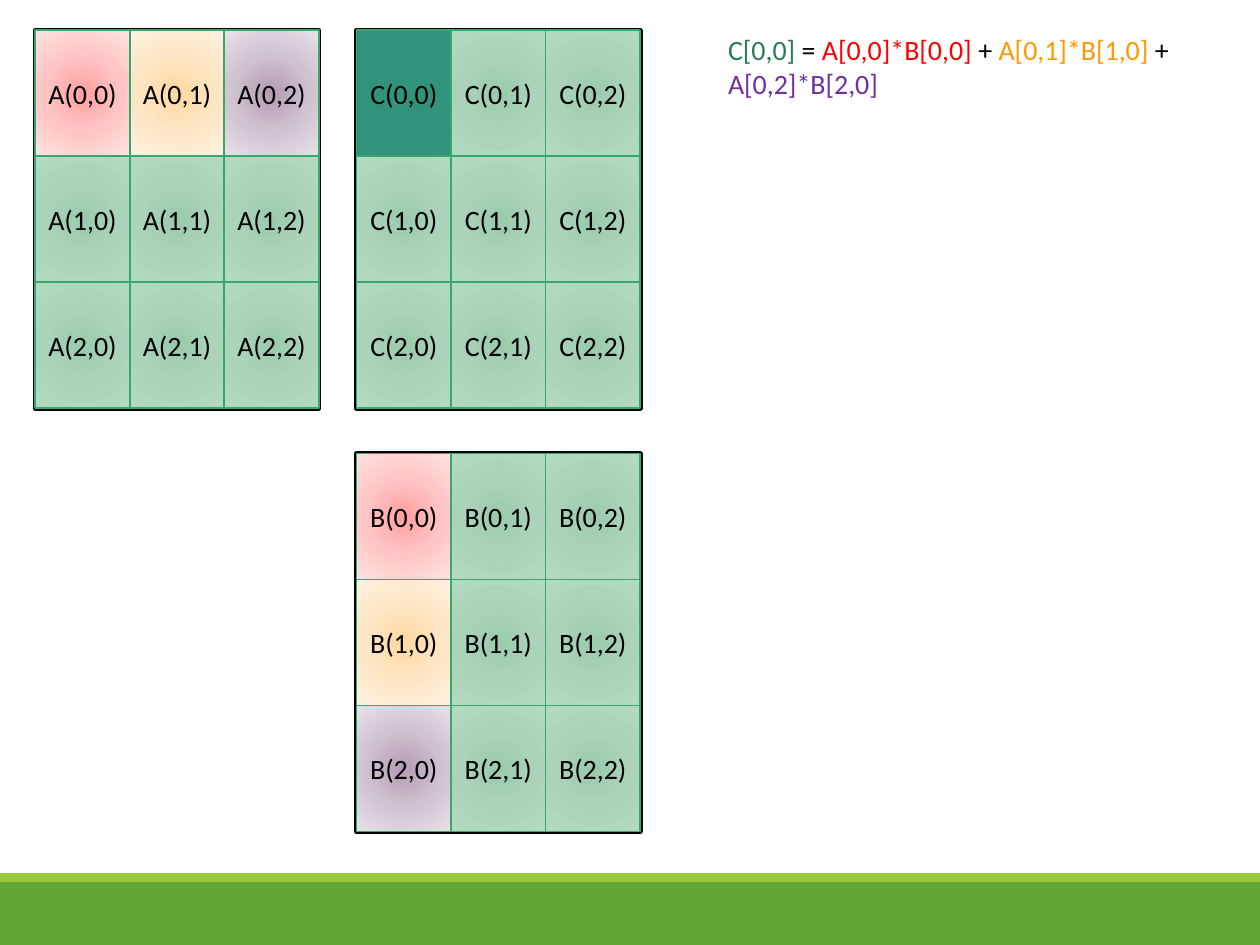
from dataclasses import dataclass, field

import pptx
import pptx.dml.color
import pptx.enum.shapes
import pptx.enum.text
import pptx.oxml
import pptx.oxml.ns
import pptx.shapes.autoshape
import pptx.util

Inches = pptx.util.Inches
Pt = pptx.util.Pt
RGBColor = pptx.dml.color.RGBColor

BLACK = RGBColor(0x00, 0x00, 0x00)
WHITE = RGBColor(0xFF, 0xFF, 0xFF)
GRID_GREEN = RGBColor(0x37, 0xA7, 0x6F)
RESULT_TEAL = RGBColor(0x31, 0x93, 0x7B)
BAND_GREEN = RGBColor(0x63, 0xA5, 0x37)
BAND_LIME = RGBColor(0x99, 0xCB, 0x38)
RESULT_GREEN = RGBColor(0x29, 0x7D, 0x53)
TERM_RED = RGBColor(0xFF, 0x00, 0x00)
TERM_ORANGE = RGBColor(0xFF, 0x99, 0x00)
TERM_PURPLE = RGBColor(0x70, 0x30, 0xA0)

FONT = "Calibri"
TEXT_SIZE = Pt(16)
ORDER = 3
CELL_WIDTH = 0.75
CELL_HEIGHT = 1


@dataclass(frozen=True)
class Glow:
    stops: tuple[tuple[int, RGBColor], ...]
    focus: int = 50


def term_glow(inner: str, middle: str, outer: str) -> Glow:
    return Glow(tuple(
        (position, RGBColor.from_string(shade))
        for position, shade in zip((0, 50, 100), (inner, middle, outer))
    ))


RED_GLOW = term_glow("FFA0A0", "FFC5C5", "FFE3E3")
ORANGE_GLOW = term_glow("FFD8A0", "FFE6C5", "FFF2E3")
PURPLE_GLOW = term_glow("B49BB4", "D0C3D0", "E8E2E8")
GREEN_GLOW = Glow(
    (
        (0, RGBColor(0x9A, 0xCA, 0xAC)),
        (45, RGBColor(0xAA, 0xD3, 0xB9)),
        (100, RGBColor(0xB1, 0xDA, 0xC0)),
    ),
    focus=100,
)
TERM_GLOWS = (RED_GLOW, ORANGE_GLOW, PURPLE_GLOW)


@dataclass(frozen=True)
class Matrix:
    name: str
    left: float
    top: float
    highlights: dict[tuple[int, int], Glow | RGBColor] = field(default_factory=dict)


@dataclass(frozen=True)
class Term:
    text: str
    color: RGBColor


MATRICES = (
    Matrix("A", 0.28, 0.24, {(0, i): glow for i, glow in enumerate(TERM_GLOWS)}),
    Matrix("B", 2.83, 3.6, {(i, 0): glow for i, glow in enumerate(TERM_GLOWS)}),
    Matrix("C", 2.83, 0.24, {(0, 0): RESULT_TEAL}),
)

PRODUCT = (
    Term("C[0,0] ", RESULT_GREEN),
    Term("= ", BLACK),
    Term("A[0,0]*B[0,0] ", TERM_RED),
    Term("+ ", BLACK),
    Term("A[0,1]*B[1,0] ", TERM_ORANGE),
    Term("+ ", BLACK),
    Term("A[0,2]*B[2,0]", TERM_PURPLE),
)


def apply_glow(cell: pptx.shapes.autoshape.Shape, glow: Glow) -> None:
    stops = "".join(
        f'<a:gs pos="{position * 1000}"><a:srgbClr val="{color}"/></a:gs>'
        for position, color in glow.stops
    )
    focus = " ".join(f'{side}="{glow.focus * 1000}"' for side in "ltrb")
    gradient = pptx.oxml.parse_xml(
        f'<a:gradFill {pptx.oxml.ns.nsdecls("a")} rotWithShape="1">'
        f'<a:gsLst>{stops}</a:gsLst>'
        f'<a:path path="circle"><a:fillToRect {focus}/></a:path></a:gradFill>'
    )
    cell.fill.gradient()
    properties = cell._element.spPr
    properties.replace(properties.find(pptx.oxml.ns.qn("a:gradFill")), gradient)


def add_rectangle(
    shapes,
    left: float,
    top: float,
    width: float,
    height: float,
    fill: Glow | RGBColor,
    line: RGBColor | None = None,
    weight: float = 1,
) -> pptx.shapes.autoshape.Shape:
    rectangle = shapes.add_shape(
        pptx.enum.shapes.MSO_SHAPE.RECTANGLE,
        Inches(left), Inches(top), Inches(width), Inches(height),
    )
    rectangle.shadow.inherit = False
    if isinstance(fill, Glow):
        apply_glow(rectangle, fill)
    else:
        rectangle.fill.solid()
        rectangle.fill.fore_color.rgb = fill
    if line is None:
        rectangle.line.fill.background()
    else:
        rectangle.line.color.rgb = line
        rectangle.line.width = Pt(weight)
    return rectangle


def add_run(paragraph, text: str, color: RGBColor) -> None:
    run = paragraph.add_run()
    run.text = text
    run.font.name = FONT
    run.font.size = TEXT_SIZE
    run.font.color.rgb = color


def add_matrix(slide, matrix: Matrix) -> None:
    members = slide.shapes.add_group_shape().shapes
    add_rectangle(
        members, matrix.left, matrix.top,
        ORDER * CELL_WIDTH, ORDER * CELL_HEIGHT, WHITE, BLACK, 3,
    )
    for row in range(ORDER):
        for column in range(ORDER):
            cell = add_rectangle(
                members,
                matrix.left + column * CELL_WIDTH,
                matrix.top + row * CELL_HEIGHT,
                CELL_WIDTH,
                CELL_HEIGHT,
                matrix.highlights.get((row, column), GREEN_GLOW),
                GRID_GREEN,
            )
            frame = cell.text_frame
            frame.margin_left = frame.margin_right = 0
            frame.vertical_anchor = pptx.enum.text.MSO_ANCHOR.MIDDLE
            label = frame.paragraphs[0]
            label.alignment = pptx.enum.text.PP_ALIGN.CENTER
            add_run(label, f"{matrix.name}({row},{column})", BLACK)


def add_product(slide, terms: tuple[Term, ...]) -> None:
    equation = slide.shapes.add_textbox(
        Inches(5.68), Inches(0.21), Inches(4.18), Inches(0.64)
    )
    frame = equation.text_frame
    frame.word_wrap = True
    frame.auto_size = pptx.enum.text.MSO_AUTO_SIZE.SHAPE_TO_FIT_TEXT
    for term in terms:
        add_run(frame.paragraphs[0], term.text, term.color)


def main() -> None:
    deck = pptx.Presentation()
    deck.slide_width = Inches(10)
    deck.slide_height = Inches(7.5)
    slide = deck.slides.add_slide(deck.slide_layouts[6])
    add_rectangle(slide.shapes, 0, 7, 10, 0.5, BAND_GREEN)
    add_rectangle(slide.shapes, 0, 6.93, 10, 0.07, BAND_LIME)
    for matrix in MATRICES:
        add_matrix(slide, matrix)
    add_product(slide, PRODUCT)
    deck.save("out.pptx")


if __name__ == "__main__":
    main()
